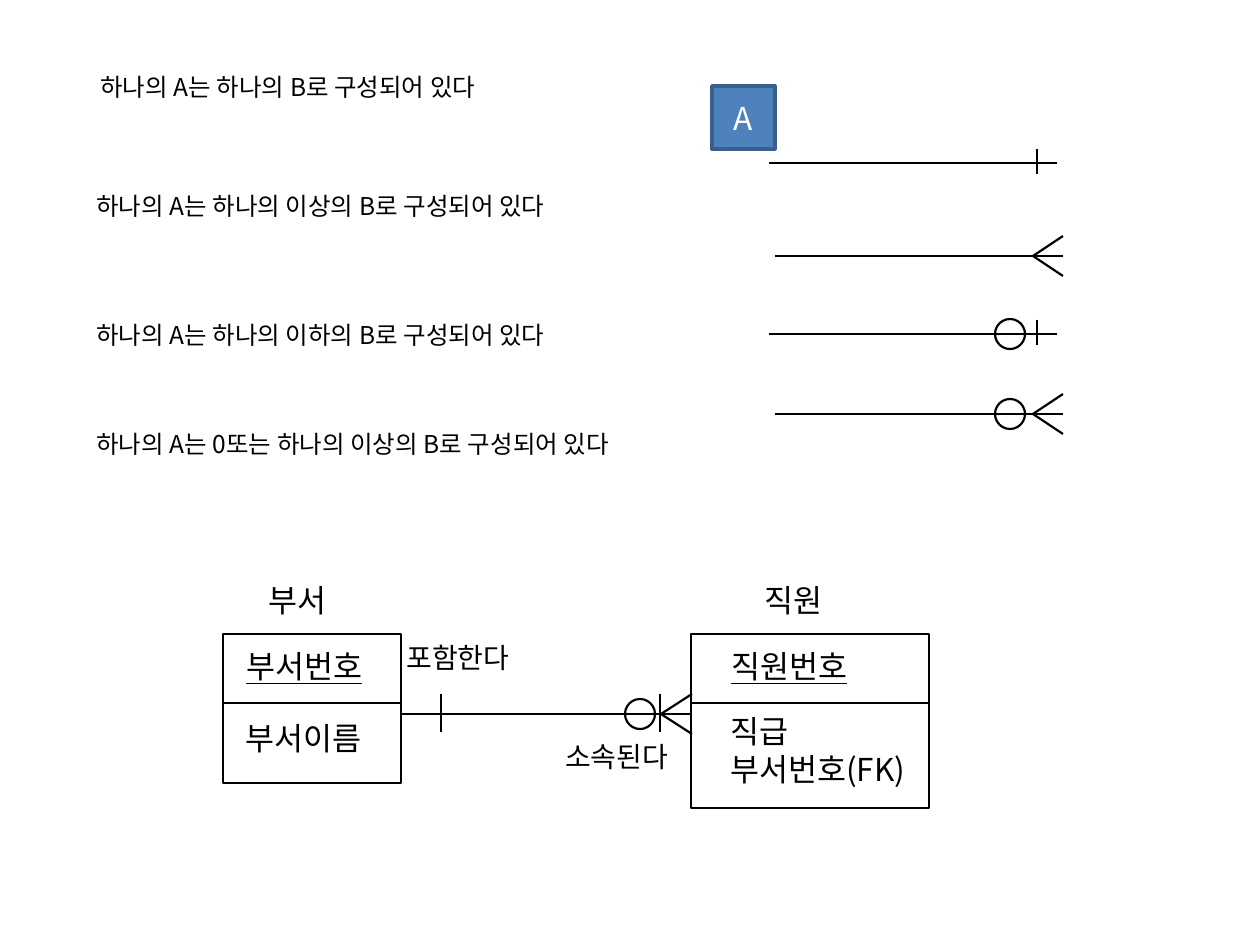
from dataclasses import dataclass

from lxml import etree
from pptx import Presentation, util as u
from pptx.dml.color import RGBColor
from pptx.enum import shapes as sh, text as tx
from pptx.oxml.ns import qn

SCALE = u.Inches(1) / 126
FONT = "Noto Sans CJK KR"
COLORS = {"ink": "000000", "paper": "FFFFFF", "blue": "4F81BD", "edge": "3A5F8C"}


@dataclass
class Label:
    """Text with its box in pixels."""
    words: str
    x: int
    y: int
    w: int
    h: int
    size: int = 14
    under: bool = False
    wrap: bool = True


@dataclass
class Link:
    """A relation line with its end marks, in pixels."""
    x: int
    end: int
    y: int
    ring: int | None = None
    foot: int | None = None
    bars: tuple[int, ...] = ()
    rise: int = 14
    drop: int = 11


@dataclass
class Table:
    """An entity box with its labels."""
    x: int
    w: int
    h: int
    labels: list[Label]


SENTENCES = [
    Label("하나의 A는 하나의 B로 구성되어 있다", 88, 66, 446, 43, wrap=False),
    Label("하나의 A는 하나의 이상의 B로 구성되어 있다", 84, 185, 528, 43, wrap=False),
    Label("하나의 A는 하나의 이하의 B로 구성되어 있다", 84, 314, 528, 43, wrap=False),
    Label("하나의 A는 0또는 하나의 이상의 B로 구성되어 있다", 84, 423, 600, 43, wrap=False),
]
LEGEND = [
    Link(769, 1057, 163, bars=(1037,)),
    Link(775, 1063, 256, foot=1033),
    Link(769, 1057, 334, ring=995, bars=(1037,)),
    Link(775, 1063, 414, ring=995, foot=1033),
]
TABLES = [
    Table(223, 178, 149, [
        Label("부서", 256, 575, 89, 50, 18),
        Label("부서번호", 234, 641, 169, 50, 18, under=True),
        Label("부서이름", 233, 713, 190, 50, 18),
    ]),
    Table(691, 238, 174, [
        Label("직원", 752, 575, 89, 50, 18),
        Label("직원번호", 719, 641, 169, 50, 18, under=True),
        Label("직급\n부서번호(FK)", 718, 706, 289, 89, 18),
    ]),
]
ROLES = [
    Label("포함한다", 394, 634, 139, 47, 16, wrap=False),
    Label("소속된다", 553, 733, 139, 47, 16, wrap=False),
]
JOIN = Link(402, 692, 714, ring=625, foot=661, bars=(441, 660), rise=20, drop=18)


def px(*values: int) -> list[int]:
    """Turn pixels into EMU."""
    return [round(v * SCALE) for v in values]


def hue(name: str) -> RGBColor:
    """Look up a colour."""
    return RGBColor.from_string(COLORS[name])


def style(par, size: int, color: str = "ink", under: bool = False) -> None:
    """Set the font of a paragraph for Latin and Korean."""
    font = par.font
    font.size = u.Pt(size)
    font.color.rgb = hue(color)
    font.name = FONT
    if under:
        font.underline = True
    props = par._p.get_or_add_pPr().find(qn("a:defRPr"))
    etree.SubElement(props, qn("a:ea"), typeface=FONT)


def write(pane, label: Label) -> None:
    """Add a text box."""
    frame = pane.add_textbox(*px(label.x, label.y, label.w, label.h)).text_frame
    frame.word_wrap = label.wrap
    frame.auto_size = tx.MSO_AUTO_SIZE.SHAPE_TO_FIT_TEXT
    frame.text = label.words
    for par in frame.paragraphs:
        style(par, label.size, under=label.under)


def line(pane, x: int, y: int, end: int, base: int, width: float = 1.25) -> None:
    """Add a straight line without shadow."""
    item = pane.add_connector(sh.MSO_CONNECTOR.STRAIGHT, *px(x, y, end, base))
    item.line.color.rgb = hue("ink")
    item.line.width = u.Pt(width)
    etree.SubElement(item._element.spPr, qn("a:effectLst"))


def shape(pane, kind, box: tuple[int, int, int, int], fill: str | None = None,
          edge: str = "ink", width: float = 1.25):
    """Add a preset shape without shadow."""
    item = pane.add_shape(kind, *px(*box))
    item.shadow.inherit = False
    if fill:
        item.fill.solid()
        item.fill.fore_color.rgb = hue(fill)
    else:
        item.fill.background()
    item.line.color.rgb = hue(edge)
    item.line.width = u.Pt(width)
    return item


def relate(pane, link: Link) -> None:
    """Draw a relation line, its crow's foot, ring and bars."""
    line(pane, link.x, link.y, link.end, link.y)
    if link.foot is not None:
        for rise in (-20, 20):
            line(pane, link.foot, link.y, link.end, link.y + rise)
    if link.ring is not None:
        shape(pane, sh.MSO_SHAPE.OVAL, (link.ring, link.y - 15, 30, 30))
    for bar in link.bars:
        line(pane, bar, link.y - link.rise, bar, link.y + link.drop)


def entity(pane, table: Table) -> None:
    """Draw an entity box, its divider and its labels."""
    shape(pane, sh.MSO_SHAPE.RECTANGLE, (table.x, 634, table.w, table.h), "paper", width=1)
    line(pane, table.x, 703, table.x + table.w, 703, 1)
    for label in table.labels:
        write(pane, label)


def main() -> None:
    """Build the slide and save it."""
    deck = Presentation()
    deck.slide_width, deck.slide_height = u.Inches(10), u.Inches(7.5)
    pane = deck.slides.add_slide(deck.slide_layouts[6]).shapes
    for label in SENTENCES:
        write(pane, label)
    badge = shape(pane, sh.MSO_SHAPE.RECTANGLE, (712, 86, 63, 63), "blue", "edge", 2)
    badge.text_frame.text = "A"
    badge.text_frame.vertical_anchor = tx.MSO_ANCHOR.MIDDLE
    par = badge.text_frame.paragraphs[0]
    par.alignment = tx.PP_ALIGN.CENTER
    style(par, 18, "paper")
    for link in LEGEND:
        relate(pane, link)
    model = pane.add_group_shape().shapes
    for table in TABLES:
        entity(model, table)
    for label in ROLES:
        write(model, label)
    relate(model, JOIN)
    deck.save("out.pptx")


main()
